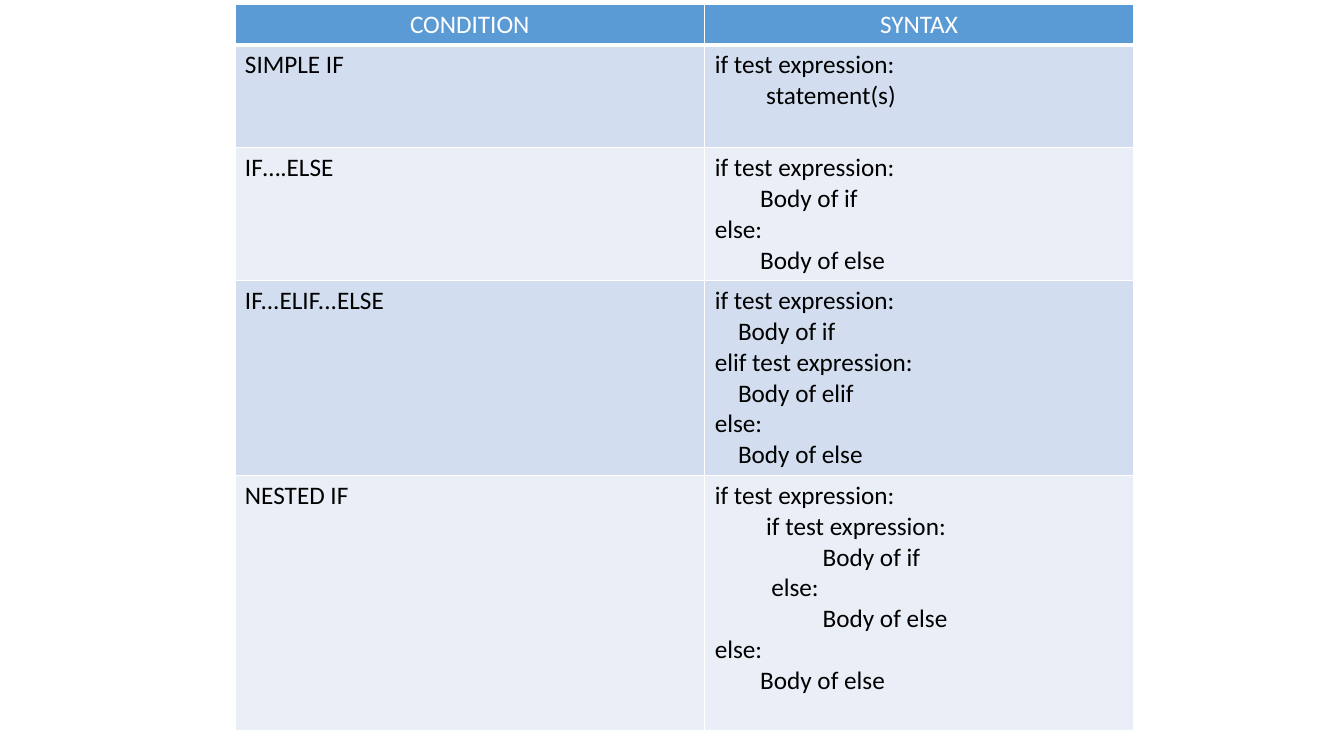
from lxml.etree import SubElement
from pptx import Presentation
from pptx.dml.color import RGBColor as Color
from pptx.enum.text import PP_ALIGN as Align
from pptx.oxml.ns import qn
from pptx.util import Inches, Pt

COLORS = {
    "header": "5B9BD5",
    "odd_row": "D2DEEF",
    "even_row": "EAEFF7",
    "border": "FFFFFF",
    "header_text": "FFFFFF",
    "body_text": "000000",
}

COLUMN_WIDTHS = [4.66, 4.25]

# Each row: height, condition, syntax lines as (indent in inches, text)
HEADER = (0.4, "CONDITION", [(0, "SYNTAX")])
CONDITIONS = [
    (1.02, "SIMPLE IF", [
        (0, "if test expression:"),
        (0.51, "statement(s)"),
    ]),
    (1.32, "IF….ELSE", [
        (0, "if test expression:"),
        (0.45, "Body of if"),
        (0, "else:"),
        (0.45, "Body of else"),
    ]),
    (1.93, "IF...ELIF...ELSE", [
        (0, "if test expression:"),
        (0.23, "Body of if"),
        (0, "elif test expression:"),
        (0.23, "Body of elif"),
        (0, "else:"),
        (0.23, "Body of else"),
    ]),
    (2.53, "NESTED IF", [
        (0, "if test expression:"),
        (0.51, "if test expression:"),
        (1.07, "Body of if"),
        (0.56, "else:"),
        (1.07, "Body of else"),
        (0, "else:"),
        (0.45, "Body of else"),
    ]),
]


class SlideBuilder:
    def __init__(self, slide, font="Calibri", size=18):
        self.slide = slide
        self.font = font
        self.size = size

    def add_table(self, left, top, widths, rows):
        heights = [height for height, _, _ in rows]
        frame = self.slide.shapes.add_table(
            len(rows), len(widths), Inches(left), Inches(top),
            Inches(sum(widths)), Inches(sum(heights)))
        table = frame.table
        table.horz_banding = False
        for column, width in zip(table.columns, widths):
            column.width = Inches(width)
        for index, (height, condition, syntax) in enumerate(rows):
            table.rows[index].height = Inches(height)
            for column, lines in enumerate([[(0, condition)], syntax]):
                self.format_cell(table.cell(index, column), lines, index)

    def format_cell(self, cell, lines, row):
        is_header = row == 0
        self.add_borders(cell, bottom=3 if is_header else 1)
        fill = "header" if is_header else "odd_row" if row % 2 else "even_row"
        cell.fill.solid()
        cell.fill.fore_color.rgb = Color.from_string(COLORS[fill])
        text_frame = cell.text_frame
        for number, (indent, text) in enumerate(lines):
            paragraph = text_frame.add_paragraph() if number else text_frame.paragraphs[0]
            self.write_line(paragraph, text, indent, is_header)

    def write_line(self, paragraph, text, indent, is_header):
        paragraph.alignment = Align.CENTER if is_header else Align.LEFT
        if indent:
            properties = paragraph._p.get_or_add_pPr()
            properties.set("marL", str(Inches(indent)))
            properties.set("indent", "0")
        run = paragraph.add_run()
        run.text = text
        text_format = {"name": self.font, "size": Pt(self.size), "bold": False}
        for attribute, value in text_format.items():
            setattr(run.font, attribute, value)
        color = "header_text" if is_header else "body_text"
        run.font.color.rgb = Color.from_string(COLORS[color])

    def add_borders(self, cell, bottom):
        properties = cell._tc.get_or_add_tcPr()
        for side, width in {"L": 1, "R": 1, "T": 1, "B": bottom}.items():
            line = SubElement(properties, qn(f"a:ln{side}"), w=str(Pt(width)))
            fill = SubElement(line, qn("a:solidFill"))
            SubElement(fill, qn("a:srgbClr"), val=COLORS["border"])


def main():
    presentation = Presentation()
    presentation.slide_width = Inches(13.33)
    presentation.slide_height = Inches(7.5)
    blank_layout = presentation.slide_layouts[6]
    builder = SlideBuilder(presentation.slides.add_slide(blank_layout))
    builder.add_table(2.33, 0.04, COLUMN_WIDTHS, [HEADER, *CONDITIONS])
    presentation.save("out.pptx")


if __name__ == "__main__":
    main()
